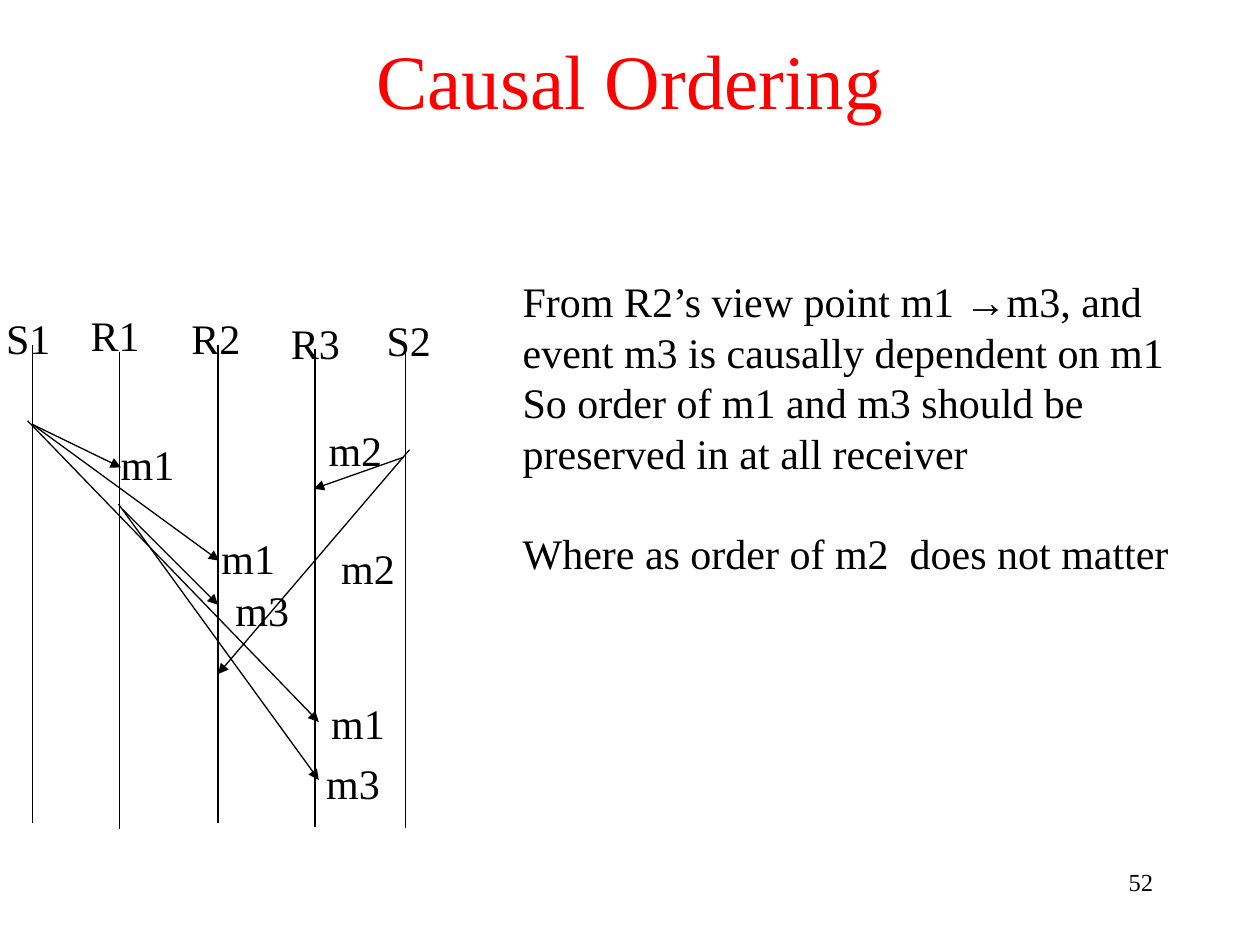
from lxml import etree
from pptx import Presentation
from pptx.dml.color import RGBColor
from pptx.enum.shapes import MSO_CONNECTOR
from pptx.enum.text import MSO_ANCHOR, MSO_AUTO_SIZE, PP_ALIGN
from pptx.oxml.ns import qn
from pptx.util import Inches, Pt

BLACK = RGBColor(0x00, 0x00, 0x00)
RED = RGBColor(0xFF, 0x00, 0x00)
FONT = "Times New Roman"
STRAIGHT = MSO_CONNECTOR.STRAIGHT
MIDDLE = MSO_ANCHOR.MIDDLE
GROW = MSO_AUTO_SIZE.SHAPE_TO_FIT_TEXT
LEFT, CENTER, RIGHT = PP_ALIGN.LEFT, PP_ALIGN.CENTER, PP_ALIGN.RIGHT

prs = Presentation()
prs.slide_width, prs.slide_height = Inches(10), Inches(7.5)
slide = prs.slides.add_slide(prs.slide_layouts[5])


def write(frame, *lines, size=24, color=BLACK, align=LEFT, wrap=True, gap_before_last=0):
    frame.word_wrap = wrap
    for index, line in enumerate(lines):
        paragraph = frame.paragraphs[0] if index == 0 else frame.add_paragraph()
        paragraph.text = line
        paragraph.alignment = align
        paragraph.font.name = FONT
        paragraph.font.size = Pt(size)
        paragraph.font.color.rgb = color
    if gap_before_last:
        paragraph.space_before = Pt(gap_before_last)


def draw_line(x1, y1, x2, y2, arrow=False):
    line = slide.shapes.add_connector(STRAIGHT, Inches(x1), Inches(y1), Inches(x2), Inches(y2))
    line.line.color.rgb = BLACK
    line.line.width = Pt(0.75)
    if arrow:
        etree.SubElement(line.line._get_or_add_ln(), qn("a:tailEnd"), type="triangle")
    etree.SubElement(line._element.spPr, qn("a:effectLst"))


# Title
title = slide.shapes.title
title.left, title.top, title.width, title.height = 0, 0, Inches(10), Inches(1.25)
title.text_frame.vertical_anchor = MIDDLE
write(title.text_frame, "Causal Ordering", size=44, color=RED, align=CENTER)

# Process timelines: line x, line top
TIMELINE_LENGTH = 3.79
for x, top in [(0.26, 2.74), (0.95, 2.79), (1.73, 2.74), (2.5, 2.77), (3.22, 2.78)]:
    draw_line(x, top, x, top + TIMELINE_LENGTH)

# Messages sent between processes
messages = [
    (0.26, 3.37, 0.96, 3.71),  # m1 to R1
    (0.26, 3.37, 1.74, 4.45),  # m1 to R2
    (0.22, 3.34, 2.53, 5.73),  # m1 to R3
    (0.97, 4.04, 1.73, 4.8),   # m3 to R2
    (0.94, 4.0, 2.53, 6.19),   # m3 to R3
    (3.2, 3.63, 2.49, 3.88),   # m2 to R3
    (3.25, 3.57, 1.73, 5.35),  # m2 to R2
]
for message in messages:
    draw_line(*message, arrow=True)

# Process and message labels
labels = [
    ("S1", -0.05, 2.43, 0.55), ("R1", 0.62, 2.41, 0.59), ("R2", 1.42, 2.43, 0.59),
    ("R3", 2.21, 2.47, 0.59), ("S2", 2.97, 2.45, 0.55),
    ("m1", 0.86, 3.43, 0.63), ("m1", 1.66, 4.18, 0.63), ("m1", 2.53, 5.49, 0.63),
    ("m3", 1.77, 4.59, 0.63), ("m3", 2.49, 5.96, 0.63),
    ("m2", 2.51, 3.32, 0.63), ("m2", 2.61, 4.26, 0.63),
]
for text, x, y, width in labels:
    label = slide.shapes.add_textbox(Inches(x), Inches(y), Inches(width), Inches(0.5))
    label.text_frame.auto_size = GROW
    write(label.text_frame, text, wrap=False)

# Explanation
explanation = slide.shapes.add_textbox(Inches(4.05), Inches(2.14), Inches(5.4), Inches(2.5))
explanation.text_frame.auto_size = GROW
write(
    explanation.text_frame,
    "From R2’s view point m1 →m3, and event m3 is causally dependent on m1",
    "So order of m1 and m3 should be preserved in at all receiver",
    "Where as order of m2  does not matter",
    gap_before_last=28.8,
)

# Page number
page_number = slide.shapes.add_textbox(Inches(7.17), Inches(6.83), Inches(2.08), Inches(0.5))
write(page_number.text_frame, "52", size=14, align=RIGHT)

prs.save("out.pptx")
